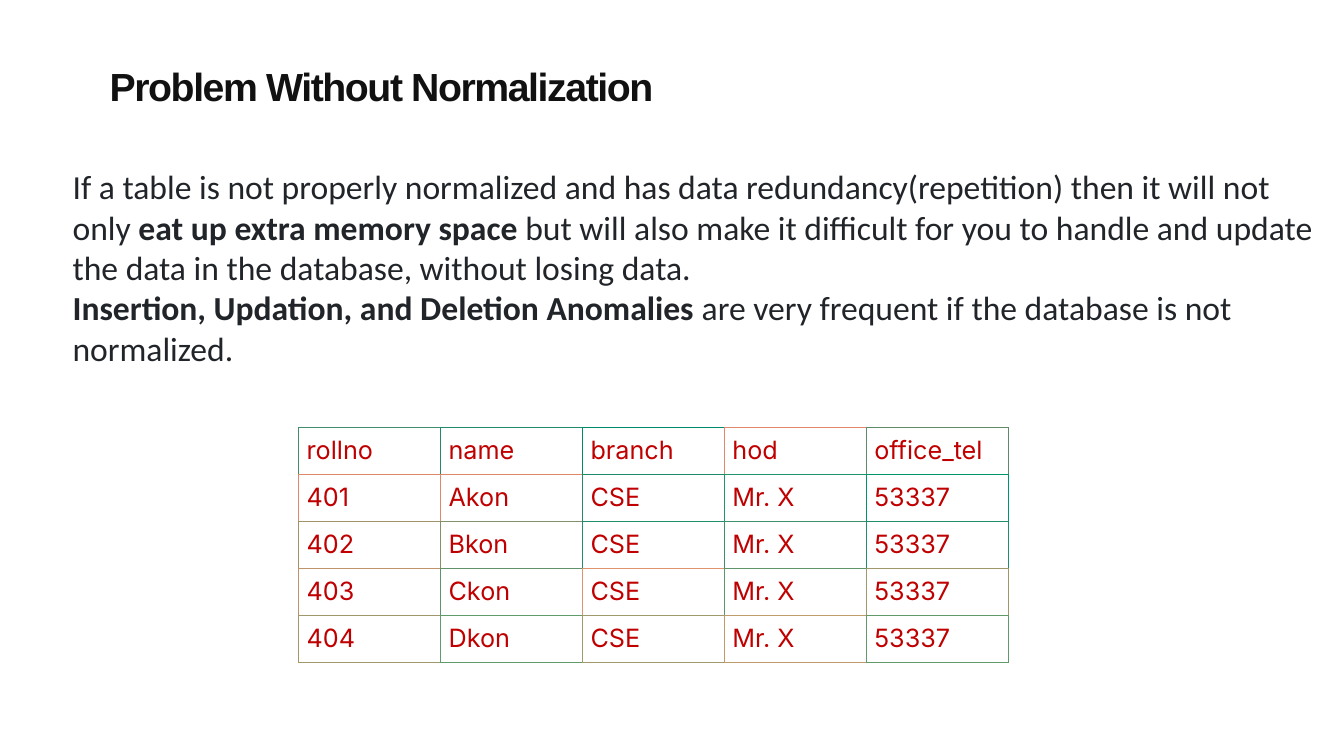
from dataclasses import dataclass

from lxml import etree
from pptx import Presentation
from pptx.dml.color import RGBColor
from pptx.enum.text import MSO_ANCHOR, MSO_AUTO_SIZE, PP_ALIGN
from pptx.oxml.ns import qn
from pptx.shapes.autoshape import Shape
from pptx.slide import Slide
from pptx.table import _Cell
from pptx.text.text import _Run
from pptx.util import Inches, Pt

MIDDLE, TOP = MSO_ANCHOR.MIDDLE, MSO_ANCHOR.TOP
GROW, FIXED = MSO_AUTO_SIZE.SHAPE_TO_FIT_TEXT, MSO_AUTO_SIZE.NONE
LEFT, RIGHT = PP_ALIGN.LEFT, PP_ALIGN.RIGHT
WIDE, HIGH = Inches(13.33), Inches(7.5)
BLACK = RGBColor(0x11, 0x11, 0x11)
GREY = RGBColor(0x21, 0x25, 0x29)
RED = RGBColor(0xC0, 0x00, 0x00)
WHITE = RGBColor(0xFF, 0xFF, 0xFF)

HEAD = {"name": "Arial", "size": Pt(28), "bold": True, "color": BLACK}
PLAIN = {"name": "Calibri", "size": Pt(24), "bold": False, "color": GREY}
STRONG = PLAIN | {"bold": True}
DATA = {"name": "Inter", "size": Pt(18), "bold": False, "color": RED}
PAD = Inches(0.08)
INSET = {"margin_left": PAD, "margin_right": PAD, "margin_top": PAD, "margin_bottom": PAD}
FLUSH = dict.fromkeys(INSET, 0)


@dataclass(frozen=True)
class Box:
    """A place on the slide in percent of its width and height."""
    x: float
    y: float
    w: float
    h: float

    def place(self) -> dict[str, int]:
        """Return the place as shape attributes."""
        return {"left": int(WIDE * self.x / 100), "top": int(HIGH * self.y / 100),
                "width": int(WIDE * self.w / 100), "height": int(HIGH * self.h / 100)}


@dataclass(frozen=True)
class Piece:
    """A stretch of text with one format."""
    text: str
    form: dict


@dataclass(frozen=True)
class Row:
    """A table row with the border tint of each cell."""
    words: tuple[str, ...]
    tints: tuple[str, ...]


TITLE = Box(2.25, 1.2, 46.36, 20.27)
BODY = Box(4.65, 21.33, 95.35, 28.27)
TABLE = Box(22.22, 56.53, 52.8, 31.07)

TOPIC = [[Piece("Problem Without Normalization", HEAD)]]
TEXT = [
    [Piece("If a table is not properly normalized and has data redundancy(repetition) "
           "then it will not only ", PLAIN),
     Piece("eat up extra memory space", STRONG),
     Piece(" but will also make it difficult for you to handle and update the data "
           "in the database, without losing data.", PLAIN)],
    [Piece("Insertion, Updation, and Deletion Anomalies ", STRONG),
     Piece("are very frequent if the database is not normalized.", PLAIN)],
]
ROWS = [
    Row(("rollno", "name", "branch", "hod", "office_tel"),
        ("408C6B", "208A6B", "00896B", "E0876B", "60886B")),
    Row(("401", "Akon", "CSE", "Mr. X", "53337"),
        ("E0876B", "E0876B", "20896B", "20956B", "00946B")),
    Row(("402", "Bkon", "CSE", "Mr. X", "53337"),
        ("A0946B", "80916B", "208F6B", "408F6B", "208E6B")),
    Row(("403", "Ckon", "CSE", "Mr. X", "53337"),
        ("C0936B", "60936B", "E0936B", "60946B", "A0986B")),
    Row(("404", "Dkon", "CSE", "Mr. X", "53337"),
        ("A0976B", "609C6B", "A0996B", "C09C6B", "609A6B")),
]


def apply(item: object, form: dict) -> None:
    """Set each attribute named in the format."""
    for key, value in form.items():
        setattr(item, key, value)


def write(run: _Run, piece: Piece) -> None:
    """Fill a run with formatted text."""
    run.text = piece.text
    for key, value in piece.form.items():
        if key == "color":
            run.font.color.rgb = value
        else:
            setattr(run.font, key, value)


def fill(shape: Shape, box: Box, paras: list[list[Piece]], frame: dict, align: PP_ALIGN) -> None:
    """Move a placeholder and write its paragraphs without bullets."""
    apply(shape, box.place())
    apply(shape.text_frame, {"word_wrap": True} | frame)
    for i, pieces in enumerate(paras):
        para = shape.text_frame.paragraphs[0] if i == 0 else shape.text_frame.add_paragraph()
        apply(para, {"alignment": align, "space_before": Pt(0), "line_spacing": 1.0})
        props = para._p.get_or_add_pPr()
        props.set("marL", "0")
        props.set("indent", "0")
        etree.SubElement(props, qn("a:buNone"))
        for piece in pieces:
            write(para.add_run(), piece)


def edge(cell: _Cell, tints: dict[str, str]) -> None:
    """Draw the borders of a cell."""
    props = cell._tc.get_or_add_tcPr()
    for side, tint in tints.items():
        line = etree.SubElement(props, qn(f"a:ln{side}"), w=str(Pt(0.6)))
        solid = etree.SubElement(line, qn("a:solidFill"))
        etree.SubElement(solid, qn("a:srgbClr"), val=tint)


def chart_rows(slide: Slide, box: Box, rows: list[Row]) -> None:
    """Add the table, where each cell shares its far edges with the next cells."""
    last_row, last_col = len(rows) - 1, len(rows[0].words) - 1
    table = slide.shapes.add_table(last_row + 1, last_col + 1, **box.place()).table
    apply(table, {"first_row": False, "horz_banding": False})
    for r, row in enumerate(rows):
        for c, word in enumerate(row.words):
            cell = table.cell(r, c)
            tint = row.tints[c]
            edge(cell, {"L": tint, "R": row.tints[min(c + 1, last_col)],
                        "T": tint, "B": rows[min(r + 1, last_row)].tints[c]})
            apply(cell, INSET)
            cell.fill.solid()
            cell.fill.fore_color.rgb = WHITE
            write(cell.text_frame.paragraphs[0].add_run(), Piece(word, DATA))


def main() -> None:
    """Build and save the slide."""
    deck = Presentation()
    apply(deck, {"slide_width": WIDE, "slide_height": HIGH})
    slide = deck.slides.add_slide(deck.slide_layouts[1])
    title, body = slide.shapes.title, slide.placeholders[1]
    fill(title, TITLE, TOPIC, FLUSH | {"vertical_anchor": MIDDLE, "auto_size": FIXED}, RIGHT)
    title.text_frame.paragraphs[0].runs[0].font._rPr.set("spc", "-100")
    fill(body, BODY, TEXT, {"vertical_anchor": TOP, "auto_size": GROW}, LEFT)
    chart_rows(slide, TABLE, ROWS)
    deck.save("out.pptx")


if __name__ == "__main__":
    main()
